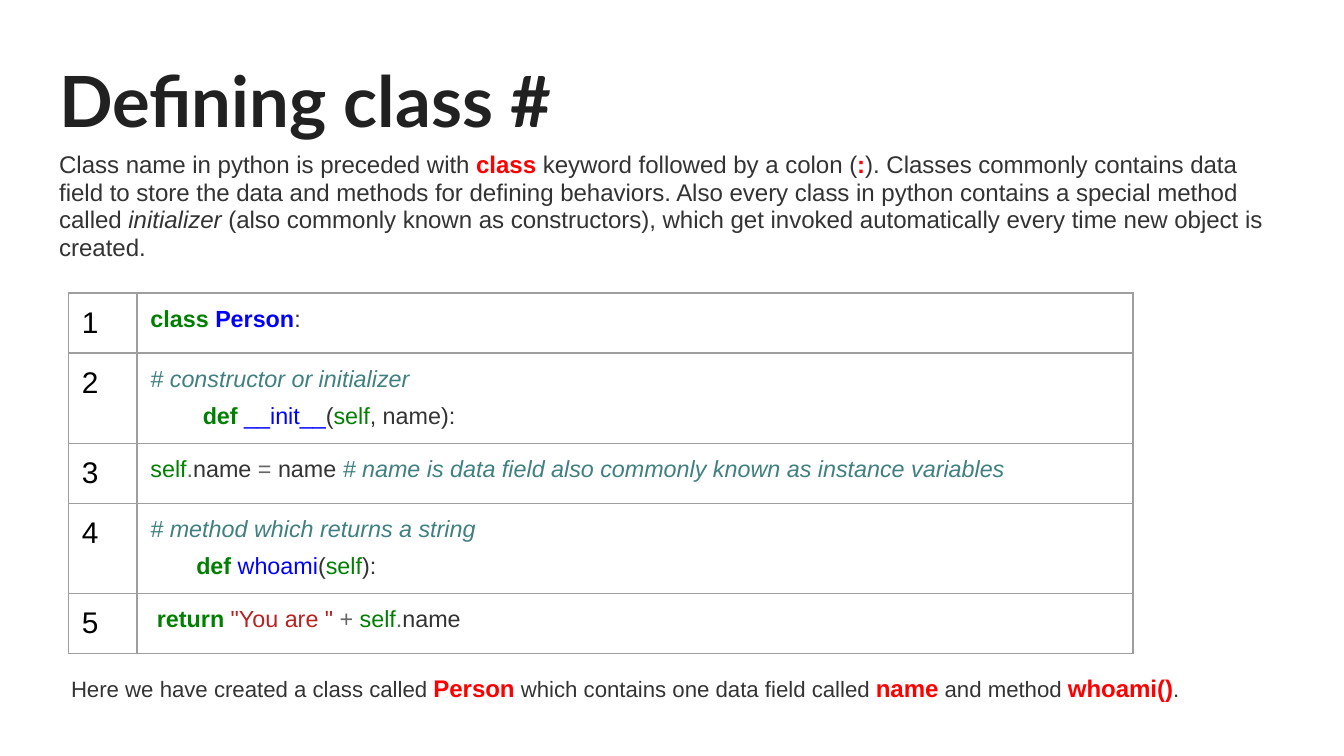
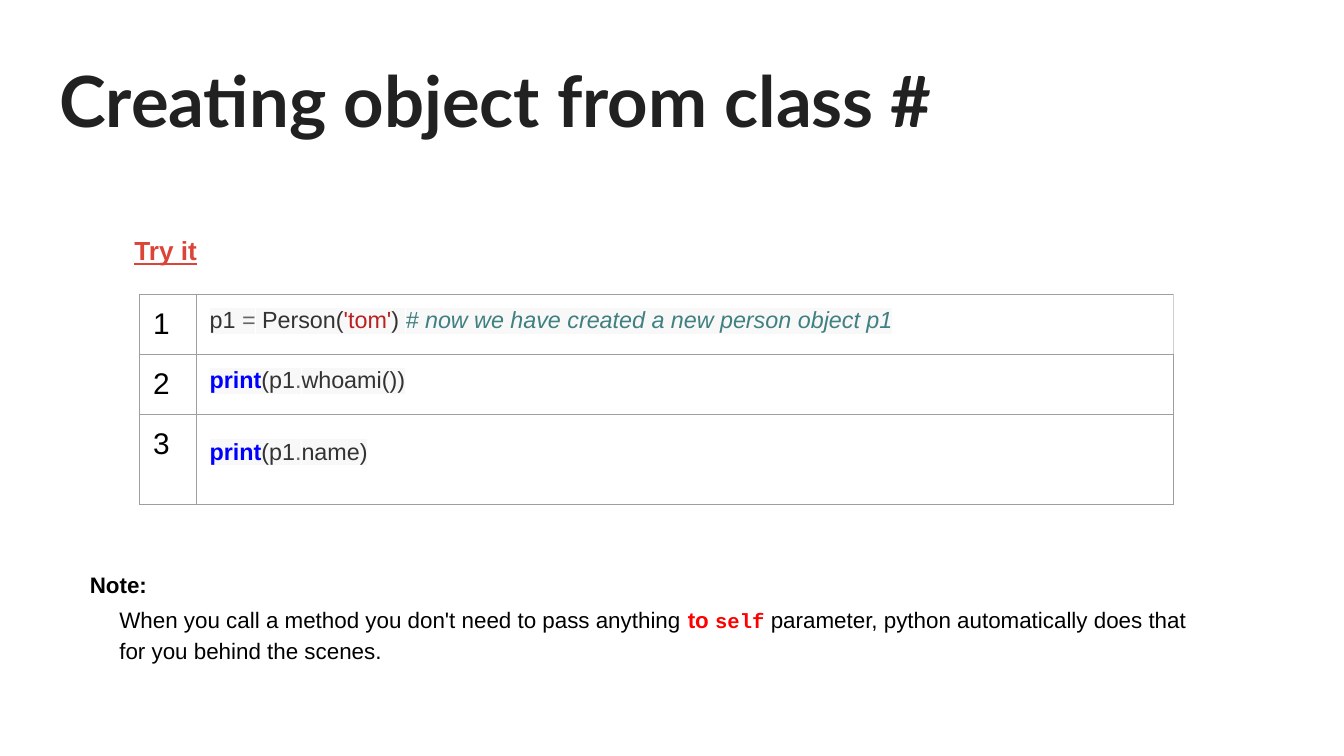
from dataclasses import dataclass, field
from typing import NamedTuple, Optional

from lxml.etree import SubElement
from pptx import Presentation
from pptx.dml.color import RGBColor
from pptx.enum.text import MSO_ANCHOR, MSO_AUTO_SIZE, PP_ALIGN
from pptx.oxml.ns import qn
from pptx.util import Emu, Pt

PX = 4572  # 200 px to the inch


@dataclass(frozen=True)
class Theme:
    font: str = "Arial"
    title_font: str = "Lato"
    mono_font: str = "Courier New"
    title_color: str = "212121"
    text: str = "333333"
    black: str = "000000"
    alert: str = "FF0000"
    accent: str = "DB4437"
    keyword: str = "008000"
    name: str = "0000FF"
    comment: str = "408080"
    operator: str = "666666"
    string: str = "BA2121"
    border: str = "9E9E9E"
    light_border: str = "CECECE"
    code_back: str = "F8F8F8"
    title_size: float = 37.8
    body_size: float = 12.9
    closing_size: float = 11.9
    label_size: float = 14
    number_size: float = 16
    code_size: float = 12.5
    note_size: float = 12
    mono_size: float = 11
    border_width: float = 0.75


T = Theme()

STYLES: dict[str, dict] = {
    "title": dict(color=T.title_color, bold=True, name=T.title_font),
    "text": dict(color=T.text),
    "italic": dict(color=T.text, italic=True),
    "black": dict(color=T.black),
    "heading": dict(color=T.black, bold=True),
    "alert": dict(color=T.alert, bold=True),
    "term": dict(color=T.alert, bold=True, size=T.body_size),
    "mono": dict(color=T.alert, bold=True, size=T.mono_size, name=T.mono_font),
    "label": dict(color=T.accent, bold=True, underline=True),
    "keyword": dict(color=T.keyword, bold=True),
    "self": dict(color=T.keyword),
    "class": dict(color=T.name, bold=True),
    "method": dict(color=T.name),
    "comment": dict(color=T.comment, italic=True),
    "op": dict(color=T.operator),
    "string": dict(color=T.string),
}


class Box(NamedTuple):
    left: int
    top: int
    width: int
    height: int


class Run(NamedTuple):
    text: str
    style: str = "text"


@dataclass
class Para:
    runs: list[Run]
    size: float
    format: dict = field(default_factory=dict)
    indent: int = 0
    highlight: Optional[str] = None


@dataclass
class CodeTable:
    left: int
    top: int
    widths: tuple[int, int]
    lines: list[list[Para]]
    heights: list[int]
    highlight: Optional[str] = None


TITLE_BOX = Box(68, 64, 1864, 176)
MARGIN = 20
ROW, TALL_ROW = 89, 134


def px(n: int) -> Emu:
    return Emu(n * PX)


def set_all(target, values: dict) -> None:
    for key, value in values.items():
        setattr(target, key, value)


def add_run(p, run: Run, size: float, highlight: Optional[str]) -> None:
    r = p.add_run()
    r.text = run.text
    values = dict(size=size, name=T.font) | STYLES[run.style]
    r.font.color.rgb = RGBColor.from_string(values.pop("color"))
    values["size"] = Pt(values["size"])
    set_all(r.font, values)
    if highlight:
        rPr = r._r.get_or_add_rPr()
        mark = SubElement(rPr, qn("a:highlight"))
        SubElement(mark, qn("a:srgbClr"), val=highlight)
        rPr.find(qn("a:solidFill")).addnext(mark)


def write(tf, paras: list[Para]) -> None:
    """Fill a text frame, overriding inherited bullets and indents."""
    for i, para in enumerate(paras):
        p = tf.add_paragraph() if i else tf.paragraphs[0]
        pPr = p._p.get_or_add_pPr()
        pPr.set("marL", str(px(para.indent)))
        pPr.set("indent", "0")
        SubElement(pPr, qn("a:buNone"))
        set_all(p, dict(alignment=PP_ALIGN.LEFT, space_before=Pt(0)) | para.format)
        for run in para.runs:
            add_run(p, run, para.size, para.highlight)


def set_frame(tf, anchor=MSO_ANCHOR.TOP, auto_size=MSO_AUTO_SIZE.NONE) -> None:
    sides = ("left", "top", "right", "bottom")
    set_all(tf, {f"margin_{side}": px(MARGIN) for side in sides})
    set_all(tf, dict(word_wrap=True, vertical_anchor=anchor, auto_size=auto_size))


def fill_placeholder(sp, box: Box, paras: list[Para]) -> None:
    set_all(sp, {key: px(n) for key, n in box._asdict().items()})
    set_frame(sp.text_frame)
    write(sp.text_frame, paras)


def add_text(s, box: Box, paras: list[Para], anchor=MSO_ANCHOR.TOP) -> None:
    tf = s.shapes.add_textbox(*map(px, box)).text_frame
    set_frame(tf, anchor, MSO_AUTO_SIZE.SHAPE_TO_FIT_TEXT)
    write(tf, paras)


def add_slide(prs, title: str, body_box: Box, body: list[Para]):
    s = prs.slides.add_slide(prs.slide_layouts[1])
    fill_placeholder(s.shapes.title, TITLE_BOX,
                     [Para([Run(title, "title")], T.title_size)])
    fill_placeholder(s.placeholders[1], body_box, body)
    return s


def set_borders(cell, right: str = T.border) -> None:
    tcPr = cell._tc.get_or_add_tcPr()
    for side in "LRTB":
        ln = SubElement(tcPr, qn(f"a:ln{side}"), w=str(Pt(T.border_width)))
        fill = SubElement(ln, qn("a:solidFill"))
        SubElement(fill, qn("a:srgbClr"), val=right if side == "R" else T.border)


def add_code_table(s, code: CodeTable, first_right: str = T.border) -> None:
    """Draw numbered code lines; first_right colours the top right edge."""
    table = s.shapes.add_table(
        len(code.lines), 2, px(code.left), px(code.top),
        px(sum(code.widths)), px(sum(code.heights))).table
    set_all(table, dict(first_row=False, horz_banding=False))
    for column, width in zip(table.columns, code.widths):
        column.width = px(width)
    for i, (row, height, line) in enumerate(zip(table.rows, code.heights, code.lines)):
        row.height = px(height)
        number = [Para([Run(str(i + 1), "black")], T.number_size)]
        for para in line:
            para.highlight = code.highlight
        for j, (cell, paras) in enumerate(zip(row.cells, (number, line))):
            set_all(cell, {f"margin_{side}": px(MARGIN)
                           for side in ("left", "top", "right", "bottom")})
            set_borders(cell, first_right if (i, j) == (0, 1) else T.border)
            cell.fill.background()
            write(cell.text_frame, paras)


def code_line(*runs: Run) -> Para:
    return Para(list(runs), T.code_size)


def spaced_line(*runs: Run, indent: int = 0) -> Para:
    return Para(list(runs), T.code_size, dict(line_spacing=1.43), indent)


def defining_class(prs) -> None:
    spacing = dict(line_spacing=0.95, space_after=Pt(18))
    intro = Para([
        Run("Class name in python is preceded with "),
        Run("class ", "alert"),
        Run("keyword followed by a colon ("),
        Run(":", "alert"),
        Run("). Classes commonly contains data field to store the data and methods "
            "for defining behaviors. Also every class in python contains a special "
            "method called "),
        Run("initializer", "italic"),
        Run(" (also commonly known as constructors), which get invoked automatically "
            "every time new object is created."),
    ], T.body_size, spacing)
    s = add_slide(prs, "Defining class #", Box(68, 206, 1864, 210), [intro])

    lines = [
        [code_line(Run("class ", "keyword"), Run("Person", "class"), Run(":"))],
        [code_line(Run("# constructor or initializer", "comment")),
         spaced_line(Run("      "), Run("def ", "keyword"), Run("__init__", "method"),
                     Run("("), Run("self", "self"), Run(", name):"), indent=20)],
        [code_line(Run("self", "self"), Run(".", "op"), Run("name "), Run("=", "op"),
                   Run(" name "),
                   Run("# name is data field also commonly known as instance variables",
                       "comment"))],
        [code_line(Run("# method which returns a string", "comment")),
         spaced_line(Run("     "), Run("def ", "keyword"), Run("whoami", "method"),
                     Run("("), Run("self", "self"), Run("):"), indent=20)],
        [code_line(Run(" "), Run("return ", "keyword"), Run('"You are " ', "string"),
                   Run("+ ", "op"), Run("self", "self"), Run(".", "op"), Run("name"))],
    ]
    heights = [TALL_ROW if len(line) > 1 else ROW for line in lines]
    add_code_table(s, CodeTable(102, 436, (102, 1482), lines, heights))

    closing = Para([
        Run("Here we have created a class called "), Run("Person", "term"),
        Run(" which contains one data field called "), Run("name", "term"),
        Run(" and method "), Run("whoami()", "term"), Run("."),
    ], T.closing_size, spacing)
    add_text(s, Box(86, 984, 1762, 84), [closing], MSO_ANCHOR.MIDDLE)


def creating_object(prs) -> None:
    label = Para([Run("Try it", "label")], T.label_size,
                 dict(alignment=PP_ALIGN.JUSTIFY, line_spacing=1.5))
    s = add_slide(prs, "Creating object from class #", Box(180, 306, 1820, 132), [label])

    lines = [
        [code_line(Run("p1 "), Run("=", "op"), Run(" Person("), Run("'tom'", "string"),
                   Run(") "),
                   Run("# now we have created a new person object p1", "comment"))],
        [code_line(Run("print", "class"), Run("(p1"), Run(".", "op"), Run("whoami())"))],
        [spaced_line(Run("print", "class"), Run("(p1"), Run(".", "op"), Run("name)"))],
    ]
    code = CodeTable(208, 438, (84, 1454), lines, [ROW, ROW, TALL_ROW], T.code_back)
    add_code_table(s, code, T.light_border)

    note = [
        Para([Run("Note:", "heading")], T.note_size, dict(line_spacing=1.15)),
        Para([
            Run("When you call a method you don't need to pass anything ", "black"),
            Run("to ", "alert"), Run("self", "mono"),
            Run(" parameter, python automatically does that for you behind the scenes.",
                "black"),
        ], T.note_size,
            dict(line_spacing=1.15, space_before=Pt(2), space_after=Pt(6)), indent=44),
    ]
    add_text(s, Box(114, 824, 1688, 180), note)


def main() -> None:
    prs = Presentation()
    set_all(prs, dict(slide_width=px(2000), slide_height=px(1125)))
    defining_class(prs)
    creating_object(prs)
    prs.save("out.pptx")


if __name__ == "__main__":
    main()
